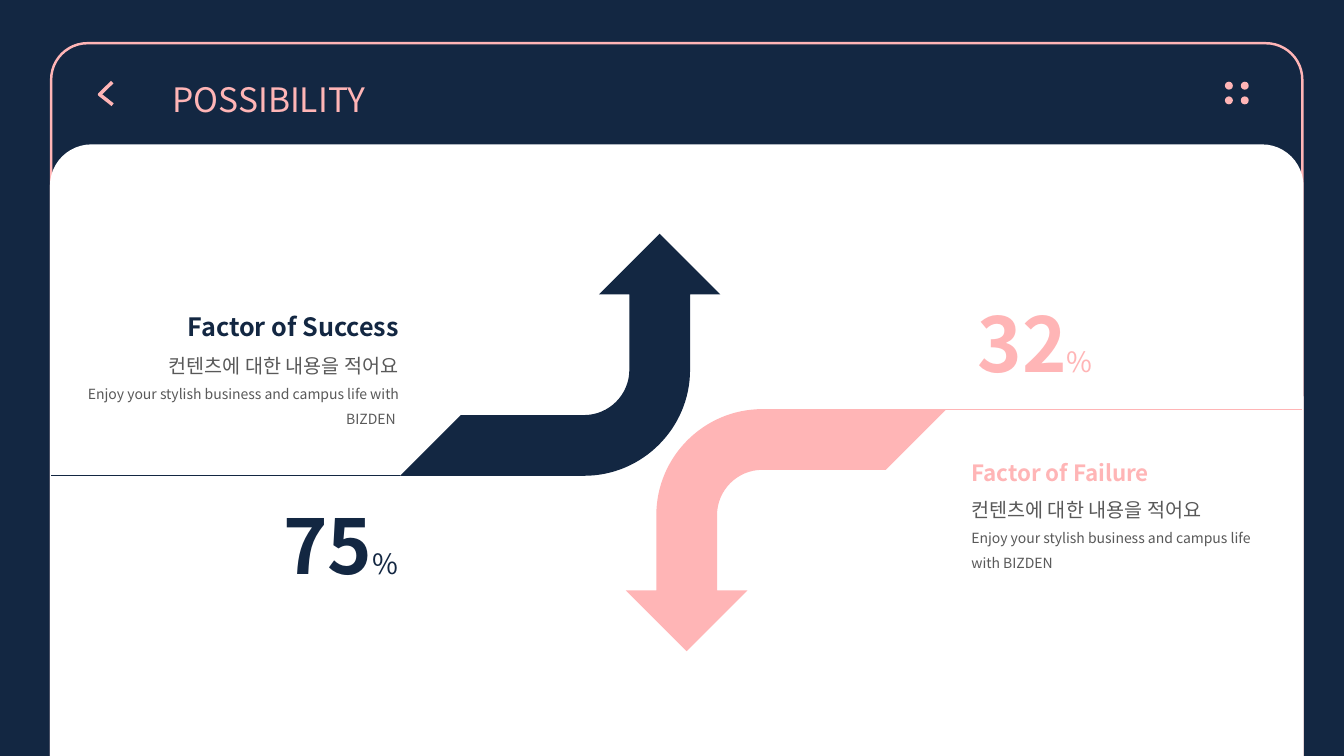
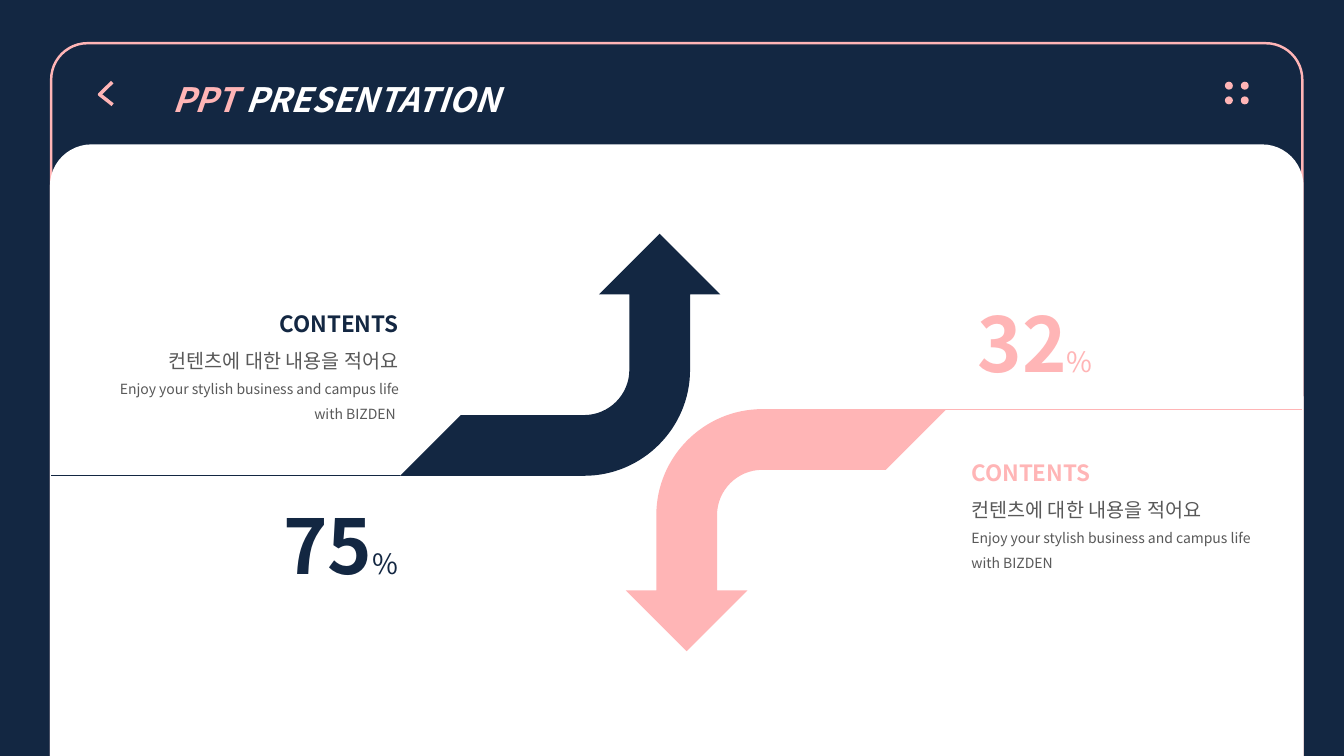
import lxml.etree
import pptx
import pptx.dml.color
import pptx.enum.shapes
import pptx.enum.text
import pptx.oxml.ns
import pptx.util

Cm = pptx.util.Cm
RGBColor = pptx.dml.color.RGBColor
SHAPE = pptx.enum.shapes.MSO_SHAPE
ALIGN = pptx.enum.text.PP_ALIGN
qn = pptx.oxml.ns.qn

NAVY = RGBColor(0x13, 0x27, 0x42)
PINK = RGBColor(0xFF, 0xB5, 0xB6)
WHITE = RGBColor(0xFF, 0xFF, 0xFF)
GRAY = RGBColor(0x59, 0x59, 0x59)
FONT = "Noto Sans CJK KR"

LEFT, RIGHT = 1.29, 32.82
KOREAN = "컨텐츠에 대한 내용을 적어요"
ENGLISH = "Enjoy your stylish business and campus life with BIZDEN"

SLIDES = [
    {
        "title": [("POSSIBILITY", 24, PINK, False)],
        "italic": False,
        "success": ("Factor of Success", 18, 1.61, 8.69),
        "failure": "Factor of Failure",
    },
    {
        "title": [("PPT", 24, PINK, True), (" PRESENTATION", 24, WHITE, True)],
        "italic": True,
        "success": ("CONTENTS", 16, 2.07, 8.23),
        "failure": "CONTENTS",
    },
]


def write(frame, lines, align, spacing=1.0, italic=False):
    frame.word_wrap = True
    for index, line in enumerate(lines):
        para = frame.paragraphs[0] if index == 0 else frame.add_paragraph()
        para.alignment = align
        para.line_spacing = spacing
        for text, size, color, bold in line:
            span = para.add_run()
            span.text = text
            span.font.name = FONT
            span.font.size = pptx.util.Pt(size)
            span.font.bold = bold
            span.font.italic = italic
            span.font.color.rgb = color


def draw_outline(page, points, close, curve_starts=()):
    corners = [(Cm(x), Cm(y)) for x, y in points]
    builder = page.shapes.build_freeform(*corners[0])
    builder.add_line_segments(corners[1:], close=close)
    outline = builder.convert_to_shape()
    outline.shadow.inherit = False
    segments = list(outline._element.iter(qn("a:lnTo")))
    for start in curve_starts:
        curve = lxml.etree.Element(qn("a:cubicBezTo"))
        segments[start].addprevious(curve)
        for segment in segments[start:start + 3]:
            curve.append(segment[0])
            segment.getparent().remove(segment)
    return outline


BEND_X, BEND_Y = 14.72, 9.32
OUTER, INNER = 2.67, 1.14
PULL = 0.55
TIP_X, TIP_Y, HEAD = BEND_X + (OUTER + INNER) / 2, 5.89, 1.53
TAIL_X, TAIL_Y = 10.08, BEND_Y + OUTER
up_arrow = [
    (TIP_X, TIP_Y),
    (TIP_X + HEAD, TIP_Y + HEAD),
    (BEND_X + OUTER, TIP_Y + HEAD),
    (BEND_X + OUTER, BEND_Y),
    (BEND_X + OUTER, BEND_Y + PULL * OUTER),
    (BEND_X + PULL * OUTER, TAIL_Y),
    (BEND_X, TAIL_Y),
    (TAIL_X, TAIL_Y),
    (TAIL_X + HEAD, BEND_Y + INNER),
    (BEND_X, BEND_Y + INNER),
    (BEND_X + PULL * INNER, BEND_Y + INNER),
    (BEND_X + INNER, BEND_Y + PULL * INNER),
    (BEND_X + INNER, BEND_Y),
    (BEND_X + INNER, TIP_Y + HEAD),
    (TIP_X - HEAD, TIP_Y + HEAD),
]
CURVE_STARTS = (3, 9)
TURN_X, TURN_Y = 33.93, 22.3
down_arrow = [(TURN_X - x, TURN_Y - y) for x, y in up_arrow]

deck = pptx.Presentation()
deck.slide_width, deck.slide_height = Cm(33.87), Cm(19.05)
backdrop = deck.slide_master.background.fill
backdrop.solid()
backdrop.fore_color.rgb = NAVY

for content in SLIDES:
    page = deck.slides.add_slide(deck.slide_layouts[6])

    for top, rounding, fill, edge in [(1.09, 0.051, NAVY, PINK), (3.67, 0.066, WHITE, WHITE)]:
        panel = page.shapes.add_shape(
            SHAPE.ROUND_2_SAME_RECTANGLE, Cm(LEFT), Cm(top), Cm(RIGHT - LEFT), Cm(19.05 - top)
        )
        panel.adjustments[0] = rounding
        panel.shadow.inherit = False
        panel.fill.solid()
        panel.fill.fore_color.rgb = fill
        panel.line.color.rgb = edge
        panel.line.width = pptx.util.Pt(1.75)
        if edge == PINK:
            panel.text_frame.margin_left = Cm(2.79)
            panel.text_frame.vertical_anchor = pptx.enum.text.MSO_ANCHOR.TOP
            write(panel.text_frame, [content["title"]], ALIGN.LEFT, 1.5, content["italic"])

    chevron = draw_outline(page, [(2.83, 2.07), (2.51, 2.38), (2.84, 2.64)], False)
    chevron.fill.background()
    chevron.line.color.rgb = PINK
    chevron.line.width = pptx.util.Pt(2.5)

    for row in range(2):
        for column in range(2):
            dot = page.shapes.add_shape(
                SHAPE.OVAL, Cm(30.87 + 0.4 * column), Cm(2.06 + 0.37 * row), Cm(0.2), Cm(0.2)
            )
            dot.shadow.inherit = False
            dot.fill.solid()
            dot.fill.fore_color.rgb = PINK
            dot.line.fill.background()

    for points, color, start_x, end_x, level in [
        (up_arrow, NAVY, TAIL_X, LEFT, TAIL_Y),
        (down_arrow, PINK, TURN_X - TAIL_X, RIGHT, TURN_Y - TAIL_Y),
    ]:
        arrow = draw_outline(page, points, True, CURVE_STARTS)
        arrow.fill.solid()
        arrow.fill.fore_color.rgb = color
        arrow.line.fill.background()
        rule = page.shapes.add_connector(
            pptx.enum.shapes.MSO_CONNECTOR.STRAIGHT, Cm(start_x), Cm(level), Cm(end_x), Cm(level)
        )
        rule.line.color.rgb = color
        rule.line.width = pptx.util.Pt(0.5)
        lxml.etree.SubElement(rule._element.spPr, qn("a:effectLst"))

    heading, heading_size, success_left, success_width = content["success"]
    korean_line = [(KOREAN, 14, GRAY, False)]
    for left, top, width, height, align, spacing, lines in [
        (23.83, 7.37, 4.52, 2.51, ALIGN.CENTER, 1.0,
         [[("32", 54, PINK, True), ("%", 20, PINK, False)]]),
        (6.33, 12.45, 4.52, 2.54, ALIGN.CENTER, 1.0,
         [[("75", 54, NAVY, True), ("%", 20, NAVY, False)]]),
        (24.23, 11.1, 8.23, 3.43, ALIGN.LEFT, 1.5,
         [[(content["failure"], 16, PINK, True)], korean_line,
          [(ENGLISH, 10, GRAY, False)]]),
        (success_left, 7.35, success_width, 3.5, ALIGN.RIGHT, 1.5,
         [[(heading, heading_size, NAVY, True)], korean_line,
          [(ENGLISH + " ", 10, GRAY, False)]]),
    ]:
        box = page.shapes.add_textbox(Cm(left), Cm(top), Cm(width), Cm(height))
        box.text_frame.auto_size = pptx.enum.text.MSO_AUTO_SIZE.SHAPE_TO_FIT_TEXT
        write(box.text_frame, lines, align, spacing)

deck.save("out.pptx")
